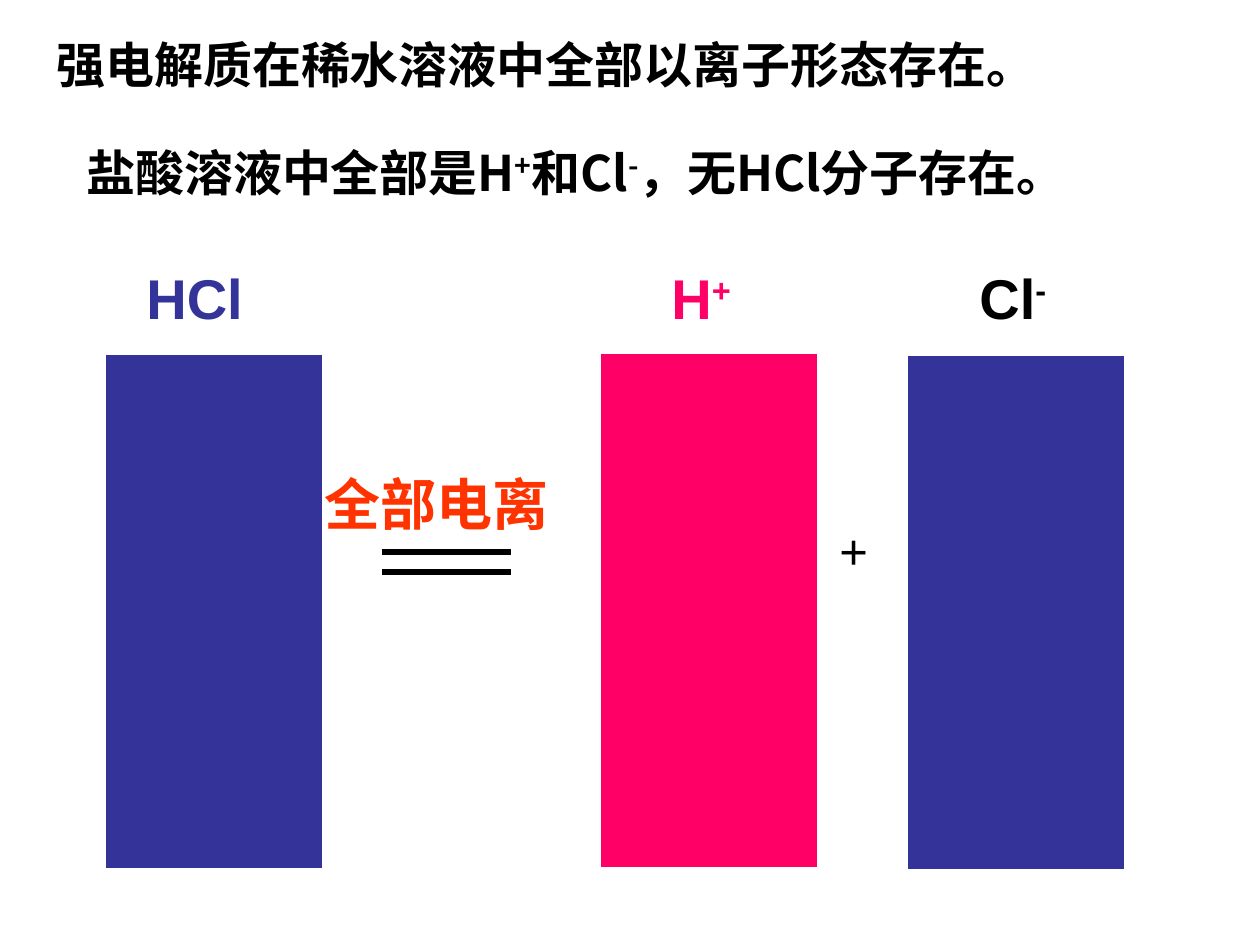
"""Build a slide showing that hydrochloric acid ionises completely in dilute solution."""
from lxml import etree
from pptx import Presentation
from pptx.dml.color import RGBColor
from pptx.enum import shapes, text
from pptx.oxml import ns
from pptx.util import Emu, Pt

PX = 914400 / 126
COLORS = {"black": "000000", "white": "FFFFFF", "blue": "333399",
          "pink": "FF0066", "orange": "FF3300"}
CJK = "Noto Sans CJK SC"
LINE_HEIGHTS = {28: 34, 32: 39}


def px(*lengths):
    return [Emu(round(length * PX)) for length in lengths]


def add_text(page, frame, parts, size, color, font="Arial", bold=True):
    box = page.shapes.add_textbox(*px(*frame))
    body = box.text_frame
    body.word_wrap = True
    body.vertical_anchor = text.MSO_ANCHOR.TOP
    body.margin_top, body.margin_bottom = px(8, 4)
    para = body.paragraphs[0]
    para.line_spacing = Pt(LINE_HEIGHTS[size])
    for part in parts:
        span = para.add_run()
        span.text = part
        span.font.name = font
        span.font.size = Pt(size)
        span.font.bold = bold
        span.font.color.rgb = RGBColor.from_string(COLORS[color])
        props = span._r.get_or_add_rPr()
        etree.SubElement(props, ns.qn("a:ea"), typeface=CJK)
        if part in ("+", "-") and len(parts) > 1:
            props.set("baseline", "30000")


deck = Presentation()
deck.slide_width, deck.slide_height = px(1260, 945)
page = deck.slides.add_slide(deck.slide_layouts[6])

add_text(page, (44, 26, 1012, 72), ["强电解质在稀水溶液中全部以离子形态存在。"], 28, "black")
add_text(page, (74, 134, 1022, 72),
         ["盐酸溶液中全部是H", "+", "和Cl", "-", "，无HCl分子存在。"], 28, "black", CJK)

for left, top, fill in [(105, 354, "blue"), (600, 353, "pink"), (907, 355, "blue")]:
    bar = page.shapes.add_shape(shapes.MSO_SHAPE.RECTANGLE, *px(left, top, 218, 515))
    bar.shadow.inherit = False
    bar.fill.solid()
    bar.fill.fore_color.rgb = RGBColor.from_string(COLORS[fill])
    bar.line.color.rgb = RGBColor.from_string(COLORS["white"])
    bar.line.width = Pt(0.75)

for left, top, width, parts, color in [
    (134, 254, 139, ["HCl"], "blue"),
    (659, 254, 89, ["H", "+"], "pink"),
    (967, 254, 110, ["Cl", "-"], "black"),
    (312, 460, 258, ["全部电离"], "orange"),
]:
    add_text(page, (left, top, width, 81), parts, 32, color)

for y in (552, 572):
    stroke = page.shapes.add_connector(shapes.MSO_CONNECTOR.STRAIGHT, *px(382, y, 511, y))
    stroke.line.color.rgb = RGBColor.from_string(COLORS["black"])
    stroke.line.width = Pt(3)
    etree.SubElement(stroke._element.spPr, ns.qn("a:effectLst"))

add_text(page, (827, 512, 59, 72), ["+"], 28, "black", bold=False)

deck.save("out.pptx")
